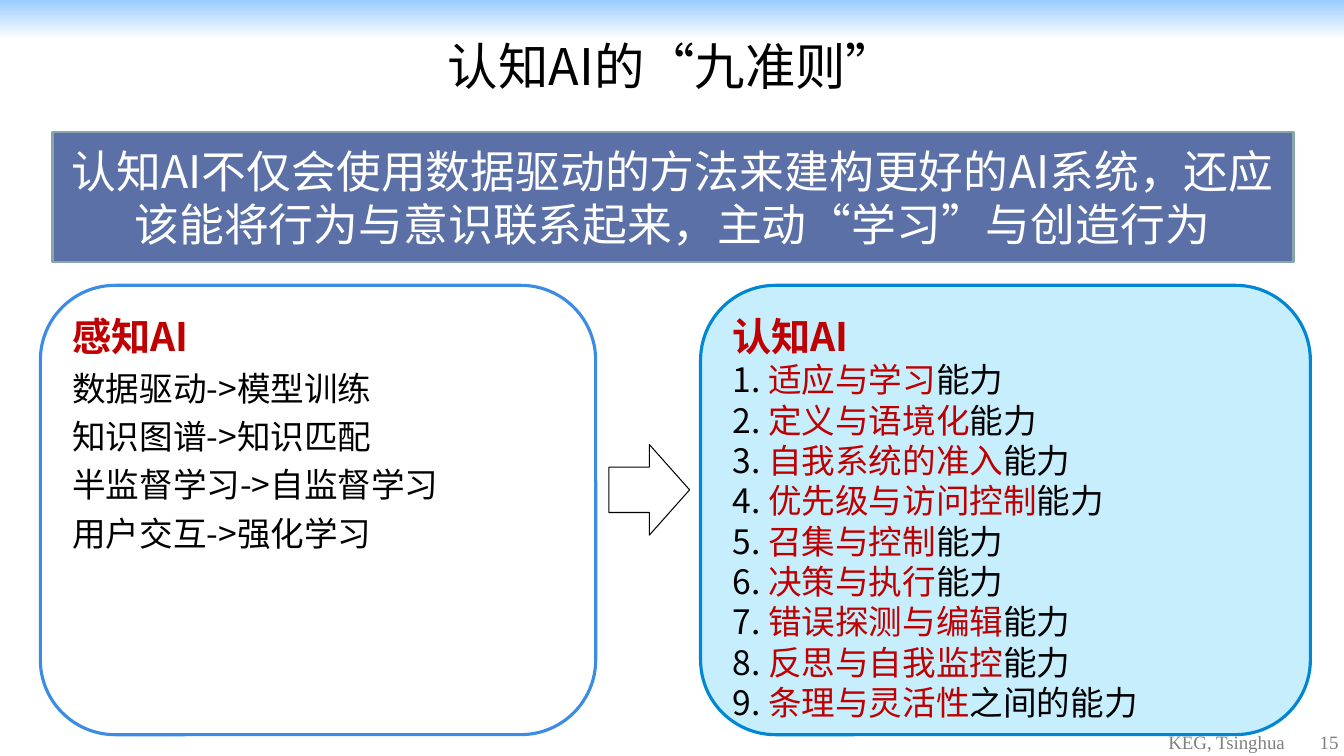
from lxml.etree import SubElement
from pptx import Presentation
from pptx.dml.color import RGBColor
from pptx.enum.shapes import MSO_SHAPE
from pptx.enum.text import MSO_ANCHOR, MSO_AUTO_SIZE, PP_ALIGN
from pptx.oxml.ns import qn
from pptx.util import Pt

SANS = "Noto Sans CJK SC"
SERIF = "Times New Roman"
BLACK, WHITE, RED, GREY = "000000", "FFFFFF", "C00000", "808080"

PERCEPTION = ["数据驱动->模型训练", "知识图谱->知识匹配",
              "半监督学习->自监督学习", "用户交互->强化学习"]
COGNITION = [("适应与学习", "能力"), ("定义与语境化", "能力"),
             ("自我系统的准入", "能力"), ("优先级与访问控制", "能力"),
             ("召集与控制", "能力"), ("决策与执行", "能力"),
             ("错误探测与编辑", "能力"), ("反思与自我监控", "能力"),
             ("条理与灵活性", "之间的能力")]


def colour(hex_string):
    return RGBColor.from_string(hex_string)


class SlideBuilder:
    def __init__(self, slide):
        self.slide = slide

    def shape(self, kind, box, fill=None, line=None, weight=1):
        item = self.slide.shapes.add_shape(kind, *map(Pt, box))
        item.shadow.inherit = False
        if fill:
            item.fill.solid()
            item.fill.fore_color.rgb = colour(fill)
        else:
            item.fill.background()
        if line:
            item.line.color.rgb = colour(line)
            item.line.width = Pt(weight)
        else:
            item.line.fill.background()
        return item

    def place(self, number, box):
        """Move a layout placeholder to its box and to the front."""
        holder = self.slide.placeholders[number]
        holder.left, holder.top, holder.width, holder.height = map(Pt, box)
        self.slide.shapes._spTree.append(holder._element)
        return holder

    def frame(self, item, anchor=MSO_ANCHOR.MIDDLE):
        frame = item.text_frame
        frame.word_wrap = True
        frame.auto_size = MSO_AUTO_SIZE.NONE
        frame.vertical_anchor = anchor
        return frame

    def paragraph(self, paragraph, runs, size, align, spacing=1.0, bold=False, font=SANS):
        properties = paragraph._p.get_or_add_pPr()
        properties.set("marL", "0")
        properties.set("indent", "0")
        SubElement(properties, qn("a:buNone"))
        paragraph.alignment = align
        paragraph.line_spacing = spacing
        paragraph.space_before = paragraph.space_after = Pt(0)
        for text, hex_string in runs:
            run = paragraph.add_run()
            run.text = text
            run.font.name = font
            run.font.size = Pt(size)
            run.font.bold = bold
            run.font.color.rgb = colour(hex_string)
            SubElement(run._r.get_or_add_rPr(), qn("a:ea"), typeface=font)

    def panel(self, number, box, fill, line, heading, items, spacing):
        self.shape(MSO_SHAPE.ROUNDED_RECTANGLE, box, fill, line, 2.25)
        left, top, width, height = box
        inset = round(height * 0.0488, 2)  # text area inside the rounded corners
        holder = self.place(number, (left + inset, top + inset,
                                     width - 2 * inset, height - 2 * inset))
        frame = self.frame(holder, MSO_ANCHOR.TOP)
        self.paragraph(frame.paragraphs[0], [(heading, RED)], 28, PP_ALIGN.JUSTIFY, bold=True)
        for runs in items:
            self.paragraph(frame.add_paragraph(), runs, 24, PP_ALIGN.JUSTIFY, spacing)

    def top_band(self, box, start, end):
        fill = self.shape(MSO_SHAPE.RECTANGLE, box).fill
        fill.gradient()
        fill.gradient_angle = 270
        for stop, position, hex_string in zip(fill.gradient_stops, (0, 1), (start, end)):
            stop.position = position
            stop.color.rgb = colour(hex_string)

    def footer(self, box, label, page, tab):
        frame = self.frame(self.slide.shapes.add_textbox(*map(Pt, box)))
        frame.margin_left, frame.margin_right = Pt(8.6), Pt(0)
        frame.margin_top = frame.margin_bottom = Pt(0)
        line = frame.paragraphs[0]
        self.paragraph(line, [(label + "\t", GREY), (page, GREY)], 13.5, PP_ALIGN.LEFT, font=SERIF)
        tabs = SubElement(line._p.get_or_add_pPr(), qn("a:tabLst"))
        SubElement(tabs, qn("a:tab"), pos=str(Pt(tab)), algn="l")


def main():
    deck = Presentation()
    deck.slide_width, deck.slide_height = Pt(960), Pt(540)
    builder = SlideBuilder(deck.slides.add_slide(deck.slide_layouts[3]))

    # Page frame
    builder.top_band((0, 0, 960, 28), "99CCFF", WHITE)
    builder.footer((826, 520, 134, 20), "KEG, Tsinghua", "15", 101)

    # Title
    title = builder.frame(builder.place(0, (26.6, 15, 907, 63)))
    builder.paragraph(title.paragraphs[0], [("认知AI的“九准则”", BLACK)], 36, PP_ALIGN.CENTER)

    # Two kinds of AI, joined by an arrow
    criteria = [[(f"{number}. ", BLACK), (ability, RED), (ending, BLACK)]
                for number, (ability, ending) in enumerate(COGNITION, 1)]
    builder.panel(2, (500.4, 203.8, 435.6, 321), "C6EEFD", "0086D2", "认知AI", criteria, 1.0)
    methods = [[(method, BLACK)] for method in PERCEPTION]
    builder.panel(1, (28.8, 203.8, 396.7, 321), None, "3A8CE5", "感知AI", methods, 1.2)
    builder.shape(MSO_SHAPE.RIGHT_ARROW, (435, 317.5, 57.6, 64.8), None, BLACK, 0.75)

    # Key message
    banner = builder.shape(MSO_SHAPE.RECTANGLE, (37.4, 94.3, 886.3, 92.9), "5A70A6", "8AA6A8", 2)
    message = "认知AI不仅会使用数据驱动的方法来建构更好的AI系统，还应该能将行为与意识联系起来，主动“学习”与创造行为"
    builder.paragraph(builder.frame(banner).paragraphs[0], [(message, WHITE)], 32, PP_ALIGN.CENTER)

    deck.save("out.pptx")


if __name__ == "__main__":
    main()
